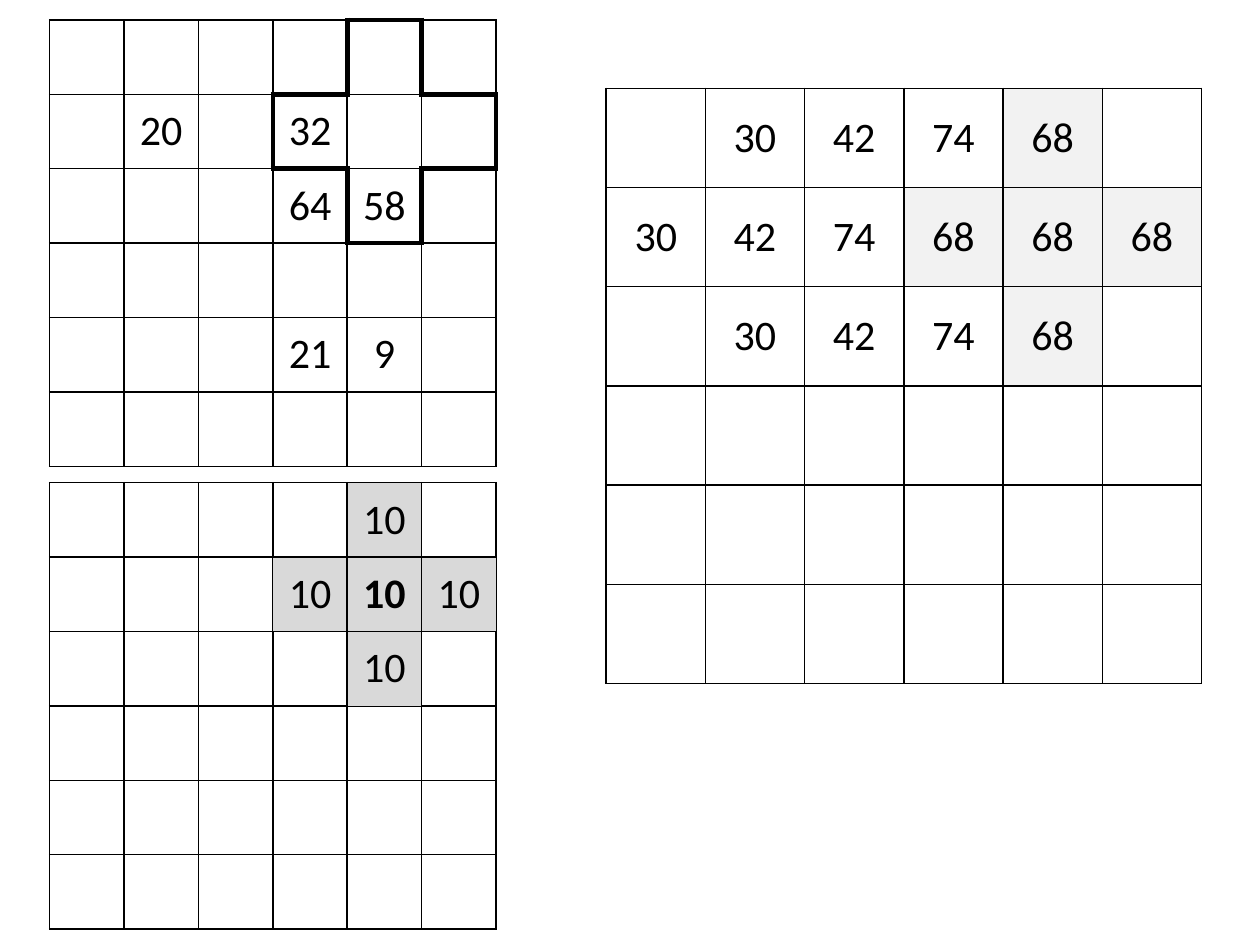
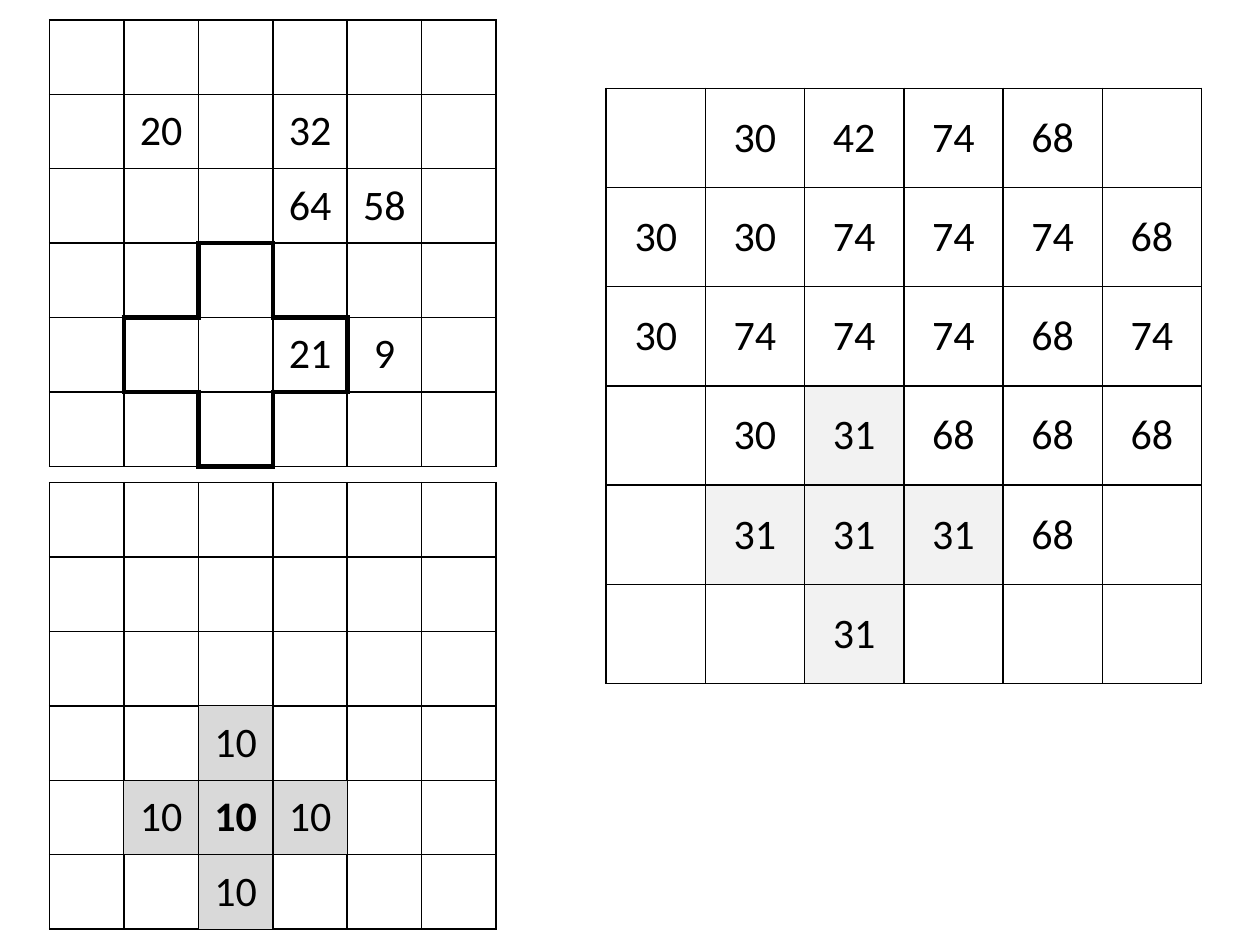
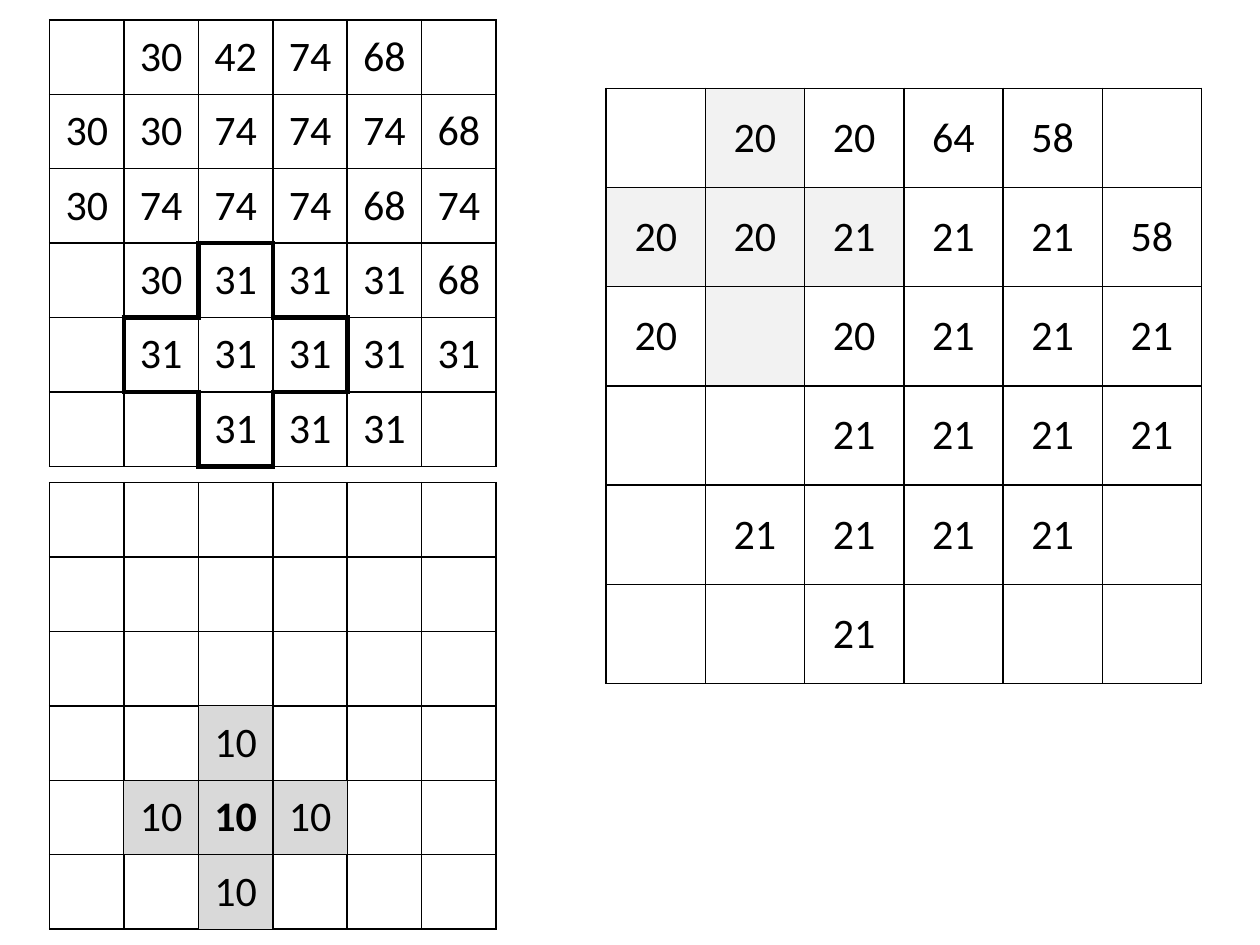
"""Three steps of a cross-shaped structuring element moving over a 6 x 6 grid."""
from dataclasses import dataclass
from typing import Callable

import lxml.etree
import pptx
import pptx.dml.color
import pptx.enum.text
import pptx.oxml.ns
import pptx.slide
import pptx.table
import pptx.util

Cm = pptx.util.Cm
Cell = tuple[int, int]
EdgeRule = Callable[[Cell, Cell], bool]

BLACK = "000000"
KERNEL_GREY = "D9D9D9"
RESULT_GREY = "F2F2F2"
FONT = "Calibri"
NO_STYLE_ID = "{2D5ABB26-0587-4C30-8999-92F81FD0307C}"

GRID_SIZE, CROSS_SIZE = 6, 3
SMALL_CELL, LARGE_CELL = 1.5, 2.0
GRID_LEFT, INPUT_TOP, KERNEL_TOP = 1.0, 0.4, 9.73
RESULT_LEFT, RESULT_TOP = 12.22, 1.78
NEIGHBOURS = {"L": (0, -1), "R": (0, 1), "T": (-1, 0), "B": (1, 0)}


@dataclass(frozen=True)
class Matrix:
    """A square table of numbers; lengths are in centimetres."""
    left: float
    top: float
    cell_size: float
    values: list[list[str]]
    has_edge: EdgeRule
    line_width: float = 1
    shaded: frozenset[Cell] = frozenset()
    shade: str = RESULT_GREY
    bold: frozenset[Cell] = frozenset()


@dataclass(frozen=True)
class Step:
    """One position of the cross, with the input and the result so far."""
    source: str
    result: str
    cross_centre: Cell
    shaded_centre: Cell


def rgb(hex_colour: str) -> pptx.dml.color.RGBColor:
    """Turn a hex string into a colour."""
    return pptx.dml.color.RGBColor.from_string(hex_colour)


def cross(centre: Cell) -> frozenset[Cell]:
    """Return a centre cell and its four neighbours."""
    row, column = centre
    return frozenset({centre} | {(row + down, column + right)
                                 for down, right in NEIGHBOURS.values()})


CROSS_CENTRE = (1, 1)
CROSS_CELLS = cross(CROSS_CENTRE)


def every_edge(cell: Cell, neighbour: Cell) -> bool:
    """Rule the whole grid."""
    return True


def inner_edge(cell: Cell, neighbour: Cell) -> bool:
    """Rule only between the cells of the cross table."""
    return all(0 <= index < CROSS_SIZE for index in neighbour)


def contour_edge(cell: Cell, neighbour: Cell) -> bool:
    """Rule only where the cross meets what is outside it."""
    return (cell in CROSS_CELLS) != (neighbour in CROSS_CELLS)


def parse_values(text: str) -> list[list[str]]:
    """Read rows of numbers in which a dot is an empty cell."""
    return [["" if word == "." else word for word in line.split()]
            for line in text.strip().splitlines()]


def empty_values(size: int) -> list[list[str]]:
    """Return a square of empty cells."""
    return [[""] * size for _ in range(size)]


def draw_borders(cell: pptx.table._Cell, place: Cell, matrix: Matrix) -> None:
    """Draw the sides of a cell that the edge rule asks for."""
    properties = cell._tc.get_or_add_tcPr()
    qn = pptx.oxml.ns.qn
    for side, (down, right) in NEIGHBOURS.items():
        line = lxml.etree.SubElement(properties, qn(f"a:ln{side}"))
        line.set("w", str(pptx.util.Pt(matrix.line_width)))
        if matrix.has_edge(place, (place[0] + down, place[1] + right)):
            ink = lxml.etree.SubElement(line, qn("a:solidFill"))
            lxml.etree.SubElement(ink, qn("a:srgbClr")).set("val", BLACK)
        else:
            lxml.etree.SubElement(line, qn("a:noFill"))


def format_cell(cell: pptx.table._Cell, place: Cell, matrix: Matrix) -> None:
    """Write and style one cell."""
    draw_borders(cell, place, matrix)
    if place in matrix.shaded:
        cell.fill.solid()
        cell.fill.fore_color.rgb = rgb(matrix.shade)
    else:
        cell.fill.background()
    cell.vertical_anchor = pptx.enum.text.MSO_ANCHOR.MIDDLE
    paragraph = cell.text_frame.paragraphs[0]
    paragraph.alignment = pptx.enum.text.PP_ALIGN.CENTER
    paragraph.text = matrix.values[place[0]][place[1]]
    for run in paragraph.runs:
        run.font.name = FONT
        run.font.size = pptx.util.Pt(24)
        run.font.bold = place in matrix.bold
        run.font.color.rgb = rgb(BLACK)


def draw_matrix(slide: pptx.slide.Slide, matrix: Matrix) -> None:
    """Add a matrix to the slide as a table."""
    size = len(matrix.values)
    extent = Cm(size * matrix.cell_size)
    table = slide.shapes.add_table(size, size, Cm(matrix.left), Cm(matrix.top),
                                   extent, extent).table
    table.first_row = table.horz_banding = False
    table._tbl.tblPr.find(pptx.oxml.ns.qn("a:tableStyleId")).text = NO_STYLE_ID
    for index in range(size):
        table.columns[index].width = Cm(matrix.cell_size)
        table.rows[index].height = Cm(matrix.cell_size)
    for row in range(size):
        for column in range(size):
            format_cell(table.cell(row, column), (row, column), matrix)


def draw_step(slide: pptx.slide.Slide, step: Step) -> None:
    """Draw the result, the kernel position and the input of one step."""
    row, column = step.cross_centre
    cross_left = GRID_LEFT + (column - 1) * SMALL_CELL
    cross_offset = (row - 1) * SMALL_CELL
    kernel_values = [["10" if (r, c) in CROSS_CELLS else ""
                      for c in range(CROSS_SIZE)] for r in range(CROSS_SIZE)]

    draw_matrix(slide, Matrix(RESULT_LEFT, RESULT_TOP, LARGE_CELL,
                              parse_values(step.result), every_edge,
                              shaded=cross(step.shaded_centre)))
    draw_matrix(slide, Matrix(GRID_LEFT, KERNEL_TOP, SMALL_CELL,
                              empty_values(GRID_SIZE), every_edge))
    draw_matrix(slide, Matrix(cross_left, KERNEL_TOP + cross_offset, SMALL_CELL,
                              kernel_values, inner_edge, shaded=CROSS_CELLS,
                              shade=KERNEL_GREY, bold=frozenset({CROSS_CENTRE})))
    draw_matrix(slide, Matrix(GRID_LEFT, INPUT_TOP, SMALL_CELL,
                              parse_values(step.source), every_edge))
    draw_matrix(slide, Matrix(cross_left, INPUT_TOP + cross_offset, SMALL_CELL,
                              empty_values(CROSS_SIZE), contour_edge,
                              line_width=3))


SPARSE_INPUT = """
.  .  .  .  .  .
.  20 .  32 .  .
.  .  .  64 58 .
.  .  .  .  .  .
.  .  .  21 9  .
.  .  .  .  .  .
"""
DILATION_START = """
.  30 42 74 68 .
30 42 74 68 68 68
.  30 42 74 68 .
.  .  .  .  .  .
.  .  .  .  .  .
.  .  .  .  .  .
"""
DILATION_LATER = """
.  30 42 74 68 .
30 30 74 74 74 68
30 74 74 74 68 74
.  30 31 68 68 68
.  31 31 31 68 .
.  .  31 .  .  .
"""
DILATED_INPUT = """
.  30 42 74 68 .
30 30 74 74 74 68
30 74 74 74 68 74
.  30 31 31 31 68
.  31 31 31 31 31
.  .  31 31 31 .
"""
EROSION = """
.  20 20 64 58 .
20 20 21 21 21 58
20 .  20 21 21 21
.  .  21 21 21 21
.  21 21 21 21 .
.  .  21 .  .  .
"""
STEPS = [
    Step(SPARSE_INPUT, DILATION_START, (1, 4), (1, 4)),
    Step(SPARSE_INPUT, DILATION_LATER, (4, 2), (4, 2)),
    Step(DILATED_INPUT, EROSION, (4, 2), (1, 1)),
]


def main() -> None:
    """Build and save the presentation."""
    deck = pptx.Presentation()
    deck.slide_width, deck.slide_height = Cm(25.4), Cm(19.05)
    blank_layout = deck.slide_layouts[6]
    for step in STEPS:
        draw_step(deck.slides.add_slide(blank_layout), step)
    deck.save("out.pptx")


main()
